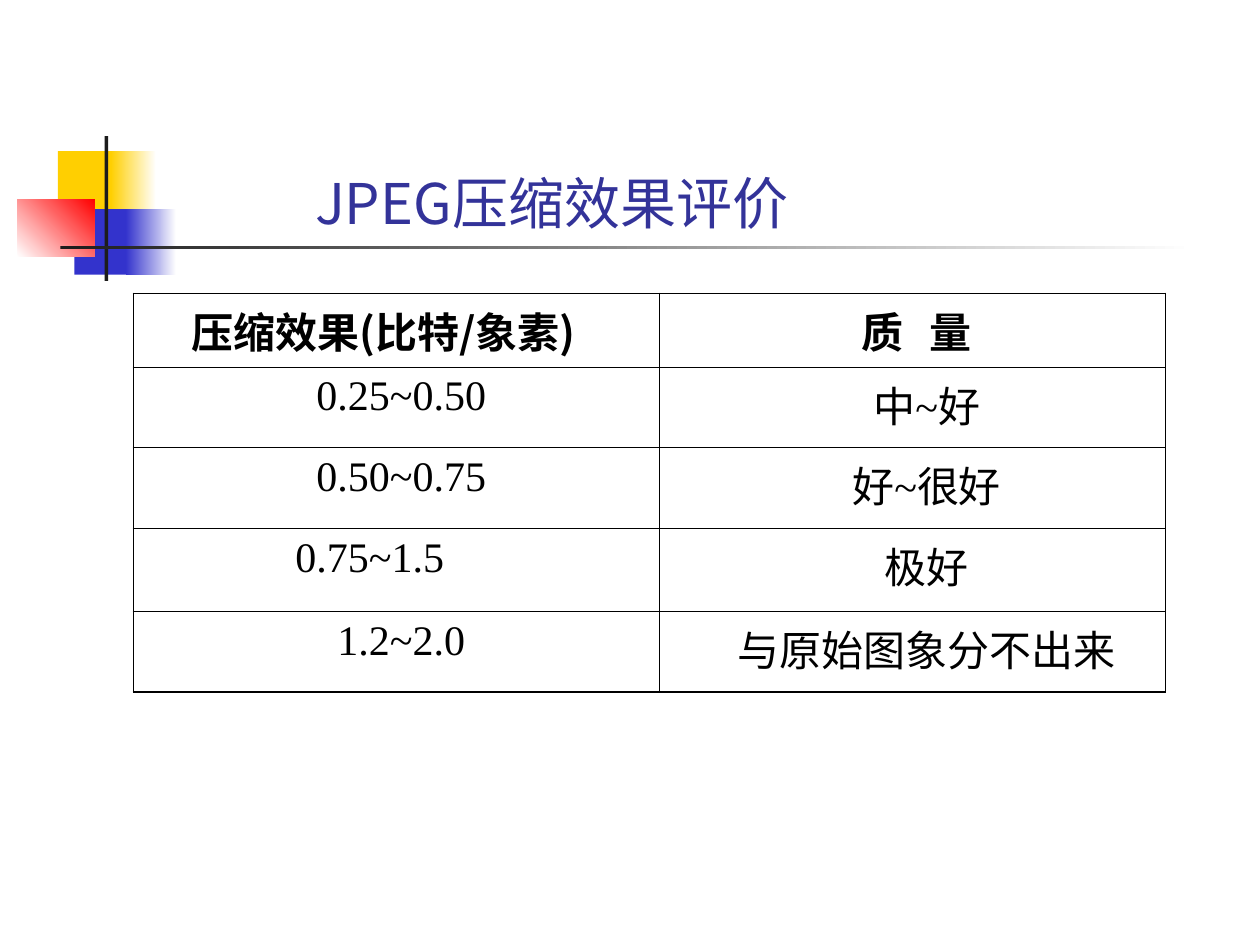
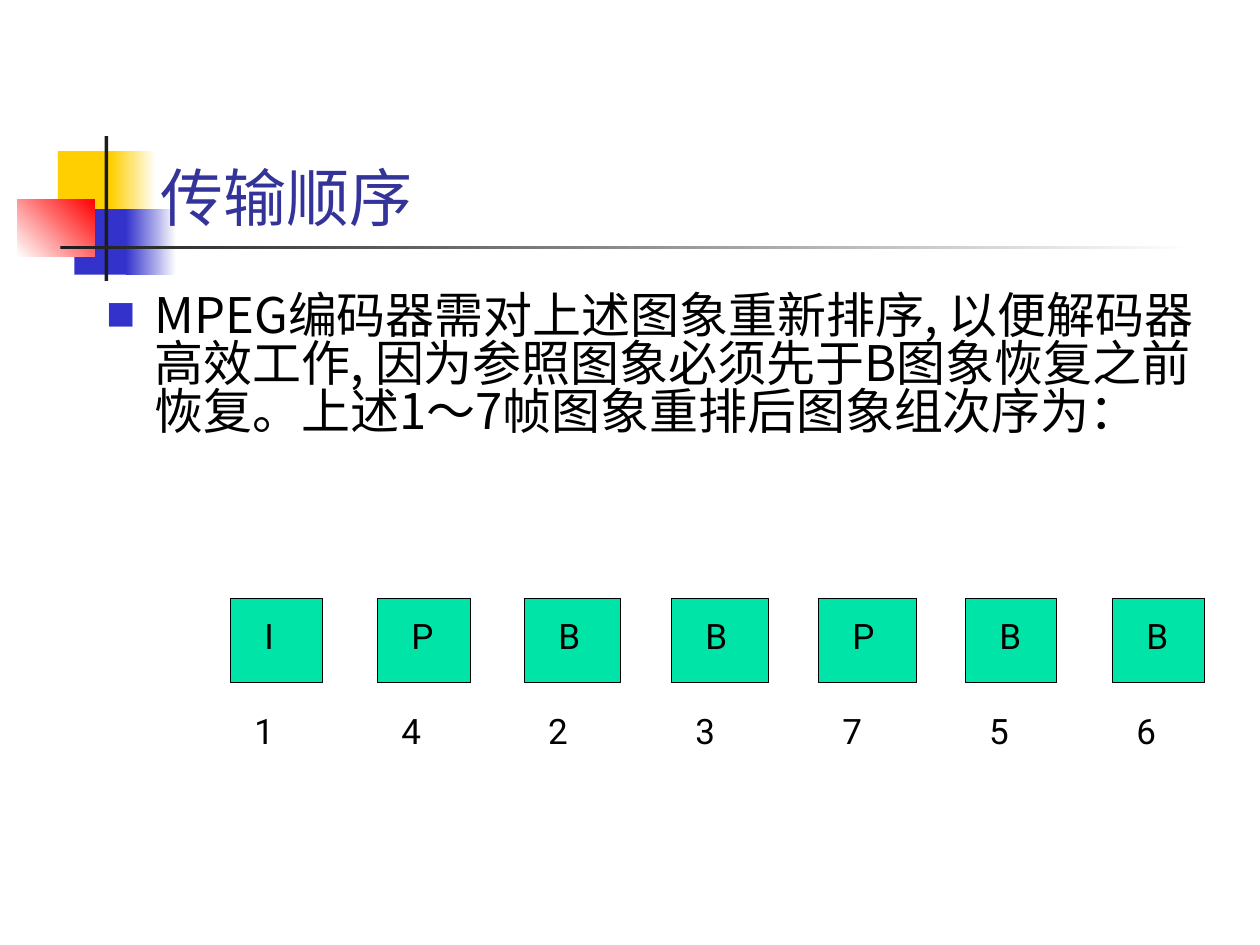
from lxml import etree
from pptx import Presentation, util as u
from pptx.dml.color import RGBColor
from pptx.enum import shapes, text
from pptx.oxml.ns import qn

# Shared look
YELLOW = RGBColor(0xFF, 0xCF, 0x01)
BLUE = RGBColor(0x33, 0x33, 0xCC)
RED = RGBColor(0xFF, 0x00, 0x00)
DARK = RGBColor(0x1C, 0x1C, 0x1C)
WHITE = RGBColor(0xFF, 0xFF, 0xFF)
BLACK = RGBColor(0x00, 0x00, 0x00)
TITLE_BLUE = RGBColor(0x33, 0x33, 0x99)
FRAME_GREEN = RGBColor(0x00, 0xE4, 0xA8)
HAN, LATIN, SERIF = "Noto Sans CJK SC", "Roboto", "Times New Roman"
LEFT, CENTER = text.PP_ALIGN.LEFT, text.PP_ALIGN.CENTER

# Ornament: left, top, width, height, colours from start to end, angle
ORNAMENT = [
    (0.46, 1.2, 0.48, 0.52, [YELLOW], 0),
    (0.88, 1.2, 0.36, 0.52, [YELLOW, WHITE], 0),
    (0.59, 1.66, 0.46, 0.52, [BLUE], 0),
    (1, 1.66, 0.4, 0.52, [BLUE, WHITE], 0),
    (0.14, 1.58, 0.61, 0.46, [WHITE, RED], 45),
    (0.83, 1.08, 0.03, 1.15, [DARK], 0),
    (0.48, 1.95, 9, 0.03, [DARK, WHITE], 0),
]

# Slide 1: each cell is its text and extra left and right margins
QUALITY_TITLE = "JPEG压缩效果评价"
QUALITY_ROWS = [
    [("压缩效果(比特/象素)", 0, 0.2), ("质 量", 0.07, 0)],
    [("0.25~0.50", 0.08, 0), ("中~好", 0.23, 0)],
    [("0.50~0.75", 0.08, 0), ("好~很好", 0.23, 0)],
    [("0.75~1.5", 0, 0.42), ("极好", 0.23, 0)],
    [("1.2~2.0", 0.08, 0), ("与原始图象分不出来", 0.23, 0)],
]
COLUMN_WIDTHS = [4.17, 4.02]
ROW_HEIGHTS = [0.58, 0.64, 0.64, 0.66, 0.64]
OUTER_LINE, INNER_LINE = 1.08, 0.45

# Slide 2: frame type, display number, square width
ORDER_TITLE = "传输顺序"
ORDER_TEXT = ("MPEG编码器需对上述图象重新排序, 以便解码器高效工作, "
              "因为参照图象必须先于B图象恢复之前恢复。"
              "上述1～7帧图象重排后图象组次序为：")
FRAMES = [("I", "1", 0.73), ("P", "4", 0.74), ("B", "2", 0.76), ("B", "3", 0.77),
          ("P", "7", 0.78), ("B", "5", 0.72), ("B", "6", 0.73)]
FIRST_FRAME, FRAME_PITCH = 1.83, 7 / 6


def inches(*lengths):
    return [u.Inches(length) for length in lengths]


def style(paragraph, size, latin, color=BLACK, bold=False, align=LEFT):
    """Format a whole paragraph, with one font for Chinese characters."""
    paragraph.alignment = align
    font = paragraph.font
    font.size, font.name, font.bold = u.Pt(size), latin, bold
    font.color.rgb = color
    defaults = paragraph._p.pPr.find(qn("a:defRPr"))
    defaults.find(qn("a:latin")).addnext(
        etree.Element(qn("a:ea"), typeface=HAN))
    return defaults


def add_box(slide, place, colors, angle=0):
    box = slide.shapes.add_shape(shapes.MSO_SHAPE.RECTANGLE, *inches(*place))
    box.shadow.inherit = False
    box.line.fill.background()
    if len(colors) == 1:
        box.fill.solid()
        box.fill.fore_color.rgb = colors[0]
    else:
        box.fill.gradient()
        box.fill.gradient_angle = angle
        for stop, color in zip(box.fill.gradient_stops, colors):
            stop.color.rgb = color
    return box


def add_text(slide, place, words):
    frame = slide.shapes.add_textbox(*inches(*place)).text_frame
    frame.word_wrap = True
    frame.text = words
    return frame.paragraphs[0]


def add_slide(prs, title, place, size, latin):
    slide = prs.slides.add_slide(prs.slide_layouts[5])
    for *box, colors, angle in ORNAMENT:
        add_box(slide, box, colors, angle)
    heading = slide.shapes.title
    heading.left, heading.top, heading.width, heading.height = inches(*place)
    frame = heading.text_frame
    frame.text = title
    frame.auto_size = text.MSO_AUTO_SIZE.NONE
    frame.vertical_anchor = text.MSO_ANCHOR.BOTTOM
    style(frame.paragraphs[0], size, latin, TITLE_BLUE)
    heading.element.getparent().append(heading.element)  # in front of ornament
    return slide


def set_borders(cell, widths):
    for side, width in zip("LRTB", widths):
        line = etree.SubElement(cell._tc.get_or_add_tcPr(), qn(f"a:ln{side}"),
                                w=str(u.Pt(width)))
        fill = etree.SubElement(line, qn("a:solidFill"))
        etree.SubElement(fill, qn("a:srgbClr"), val=str(BLACK))


def add_quality_table(slide):
    rows, columns = len(ROW_HEIGHTS), len(COLUMN_WIDTHS)
    table = slide.shapes.add_table(
        rows, columns,
        *inches(1.06, 2.33, sum(COLUMN_WIDTHS), sum(ROW_HEIGHTS))).table
    for column, width in zip(table.columns, COLUMN_WIDTHS):
        column.width = u.Inches(width)
    for r, (height, entries) in enumerate(zip(ROW_HEIGHTS, QUALITY_ROWS)):
        table.rows[r].height = u.Inches(height)
        for c, (words, left, right) in enumerate(entries):
            cell = table.cell(r, c)
            cell.text = words
            cell.margin_left, cell.margin_right = inches(0.1 + left, 0.1 + right)
            header = r == 0
            defaults = style(cell.text_frame.paragraphs[0], 24,
                             HAN if header else SERIF, bold=header, align=CENTER)
            if " " in words:  # widely spaced heading
                defaults.set("spc", "500")
            at_edge = (c == 0, c == columns - 1, header, r == rows - 1)
            set_borders(cell, [OUTER_LINE if e else INNER_LINE for e in at_edge])
            cell.fill.background()


def add_order_text(slide):
    paragraph = add_text(slide, (0.75, 2.29, 8.92, 4.46), ORDER_TEXT)
    paragraph.line_spacing = 0.825
    props = paragraph._p.get_or_add_pPr()
    props.set("marL", str(u.Inches(0.38)))
    props.set("indent", str(u.Inches(-0.38)))
    bullet_color = etree.SubElement(props, qn("a:buClr"))
    etree.SubElement(bullet_color, qn("a:srgbClr"), val=str(BLUE))
    etree.SubElement(props, qn("a:buSzPct"), val="60000")
    etree.SubElement(props, qn("a:buFont"), typeface=HAN)
    etree.SubElement(props, qn("a:buChar"), char="■")
    style(paragraph, 28, HAN)


def add_frames(slide):
    for i, (kind, number, width) in enumerate(FRAMES):
        left = FIRST_FRAME + i * FRAME_PITCH
        square = add_box(slide, (left, 4.75, width, 0.67), [FRAME_GREEN])
        square.line.color.rgb = BLACK
        square.line.width = u.Pt(0.75)
        style(add_text(slide, (left + 0.17, 4.83, 0.42, 0.44), kind), 20, LATIN)
        style(add_text(slide, (left + 0.09, 5.58, 0.67, 0.44), number), 20, LATIN)


def main():
    prs = Presentation()
    prs.slide_width, prs.slide_height = inches(10, 7.5)

    # Compression quality
    quality = add_slide(prs, QUALITY_TITLE, (2.4, 1.07, 5.12, 0.85), 32, HAN)
    add_quality_table(quality)

    # Transmission order
    order = add_slide(prs, ORDER_TITLE, (1.17, 1.08, 6.08, 0.83), 36, LATIN)
    add_order_text(order)
    add_frames(order)

    prs.save("out.pptx")


if __name__ == "__main__":
    main()
